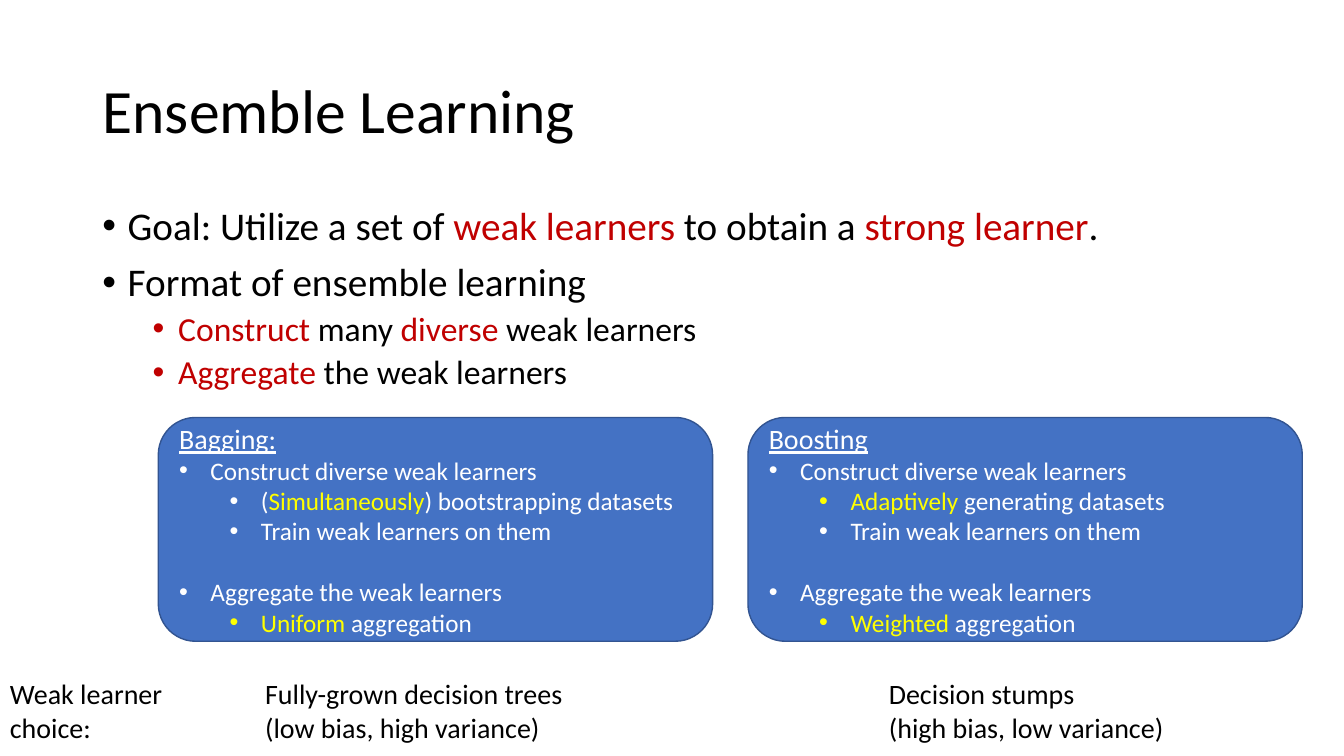
from lxml import etree
from pptx import Presentation
from pptx.dml.color import RGBColor
from pptx.enum.shapes import MSO_SHAPE
from pptx.enum.text import MSO_ANCHOR, PP_ALIGN
from pptx.oxml.ns import qn
from pptx.util import Cm, Pt

ROUNDED = MSO_SHAPE.ROUNDED_RECTANGLE
MIDDLE = MSO_ANCHOR.MIDDLE
LEFT = PP_ALIGN.LEFT

BLACK = RGBColor(0x00, 0x00, 0x00)
WHITE = RGBColor(0xFF, 0xFF, 0xFF)
RED = RGBColor(0xC0, 0x00, 0x00)
YELLOW = RGBColor(0xFF, 0xFF, 0x00)
BLUE = RGBColor(0x44, 0x72, 0xC4)
DARK_BLUE = RGBColor(0x32, 0x54, 0x91)
FONT = "Calibri"

LEVEL_STEP = 1.27  # cm of extra indent for each bullet level

# (level, text); words between asterisks are highlighted
GOALS = [
    (0, "Goal: Utilize a set of *weak learners* to obtain a *strong learner*."),
    (0, "Format of ensemble learning"),
    (1, "*Construct* many *diverse* weak learners"),
    (1, "*Aggregate* the weak learners"),
]
# (left in cm, heading, how datasets are made, how learners are aggregated)
METHODS = [
    (3.99, "Bagging:", "(*Simultaneously*) bootstrapping datasets", "*Uniform* aggregation"),
    (18.85, "Boosting", "*Adaptively* generating datasets", "*Weighted* aggregation"),
]
# (left in cm, width in cm, text)
CAPTIONS = [
    (0, 4.39, "Weak learner\nchoice:"),
    (6.43, 8.08, "Fully-grown decision trees\n(low bias, high variance)"),
    (22.15, 7.49, "Decision stumps\n(high bias, low variance)"),
]


def style(para, size, color):
    para.font.name = FONT
    para.font.size = Pt(size)
    para.font.color.rgb = color
    para.alignment = LEFT


def add_spans(para, text, highlight):
    """Add the text as runs, colouring the words between asterisks."""
    for index, part in enumerate(text.split("*")):
        if part:
            span = para.add_run()
            span.text = part
            if index % 2:
                span.font.color.rgb = highlight


def set_bullet(para, level, hanging):
    para.level = level
    properties = para._p.get_or_add_pPr()
    properties.set("marL", str(Cm(hanging + level * LEVEL_STEP)))
    properties.set("indent", str(-Cm(hanging)))
    etree.SubElement(properties, qn("a:buFont"), typeface="Arial")
    etree.SubElement(properties, qn("a:buChar"), char="•")


def add_title(page, text):
    title = page.shapes.title
    title.left, title.top, title.width, title.height = Cm(2.33), Cm(1.02), Cm(29.21), Cm(3.68)
    title.text_frame.text = text
    title.text_frame.vertical_anchor = MIDDLE
    para = title.text_frame.paragraphs[0]
    para.line_spacing = 0.9
    style(para, 44, BLACK)


def add_goals(page):
    box = page.shapes.add_textbox(Cm(2.33), Cm(5.08), Cm(29.21), Cm(5))
    frame = box.text_frame
    frame.word_wrap = True
    for index, (level, text) in enumerate(GOALS):
        para = frame.add_paragraph() if index else frame.paragraphs[0]
        para.line_spacing = 0.9
        if index:
            para.space_before = Pt(5 if level else 10)
        set_bullet(para, level, 0.64)
        style(para, 24 if level else 28, BLACK)
        add_spans(para, text, RED)


def add_method(page, left, heading, datasets, aggregation):
    box = page.shapes.add_shape(ROUNDED, Cm(left), Cm(10.52), Cm(13.97), Cm(5.64))
    box.shadow.inherit = False
    box.fill.solid()
    box.fill.fore_color.rgb = BLUE
    box.line.color.rgb = DARK_BLUE
    box.line.width = Pt(1)
    frame = box.text_frame
    frame.word_wrap = True
    frame.vertical_anchor = MIDDLE

    para = frame.paragraphs[0]
    para.text = heading
    style(para, 20, WHITE)
    para.font.underline = True

    steps = [
        (0, "Construct diverse weak learners", 0),
        (1, datasets, 0),
        (1, "Train weak learners on them", 0),
        (0, "Aggregate the weak learners", 22),
        (1, aggregation, 0),
    ]
    for level, text, gap in steps:
        para = frame.add_paragraph()
        para.space_before = Pt(gap)
        set_bullet(para, level, 0.79)
        style(para, 18, WHITE)
        add_spans(para, text, YELLOW)


def add_caption(page, left, width, text):
    box = page.shapes.add_textbox(Cm(left), Cm(16.92), Cm(width), Cm(1.96))
    box.text_frame.word_wrap = False
    para = box.text_frame.paragraphs[0]
    para.text = text
    style(para, 20, BLACK)


def main():
    deck = Presentation()
    deck.slide_width, deck.slide_height = Cm(33.87), Cm(19.05)
    page = deck.slides.add_slide(deck.slide_layouts[5])
    add_title(page, "Ensemble Learning")
    add_goals(page)
    for method in METHODS:
        add_method(page, *method)
    for caption in CAPTIONS:
        add_caption(page, *caption)
    deck.save("out.pptx")


if __name__ == "__main__":
    main()
